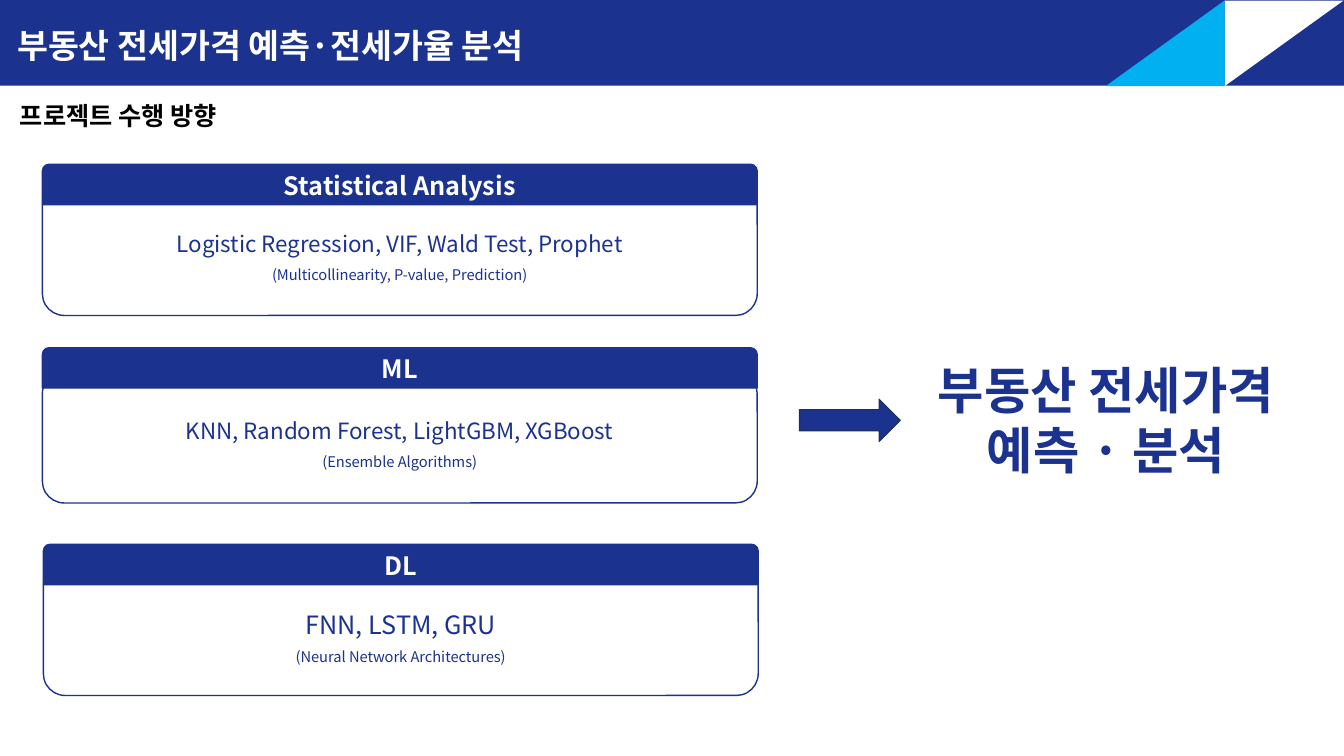
from lxml.etree import SubElement
from pptx import Presentation
from pptx.dml.color import RGBColor
from pptx.enum.shapes import MSO_SHAPE as Shape
from pptx.enum.text import MSO_ANCHOR as Anchor, PP_ALIGN as Align
from pptx.oxml.ns import qn
from pptx.util import Inches, Pt

NAVY = RGBColor(0x1B, 0x32, 0x8F)
CYAN = RGBColor(0x00, 0xB0, 0xF0)
ARROW_EDGE = RGBColor(0x1C, 0x30, 0x52)
WHITE = RGBColor(0xFF, 0xFF, 0xFF)
BLACK = RGBColor(0x00, 0x00, 0x00)
FONT = "Noto Sans CJK KR"
PAGE_WIDTH, PAGE_HEIGHT = 13.33, 7.5

# top, left, heading, gap from heading top to body top, methods, size, detail
METHODS = [
    (1.63, 0.42, "Statistical Analysis", 0.2,
     "Logistic Regression, VIF, Wald Test, Prophet", 16,
     "(Multicollinearity, P-value, Prediction)"),
    (3.45, 0.42, "ML", 0.24,
     "KNN, Random Forest, LightGBM, XGBoost", 16, "(Ensemble Algorithms)"),
    (5.4, 0.43, "DL", 0.2,
     "FNN, LSTM, GRU", 18, "(Neural Network Architectures)"),
]


def write(box, lines, color, bold=False, align=Align.LEFT,
          anchor=Anchor.TOP, spacing=None):
    """Fill a box with (text, size) lines, one paragraph each."""
    frame = box.text_frame
    frame.word_wrap = True
    frame.vertical_anchor = anchor
    frame.text = "\n".join(text for text, size in lines)
    for para, (text, size) in zip(frame.paragraphs, lines):
        para.alignment = align
        if spacing:
            para.line_spacing = spacing
        for span in para.runs:
            font = span.font
            font.name, font.size, font.bold = FONT, Pt(size), bold
            font.color.rgb = color
            east_asian = SubElement(font._element, qn("a:ea"))
            east_asian.set("typeface", FONT)


def add_block(page, kind, left, top, width, height, fill, line=None,
              line_width=1):
    block = page.shapes.add_shape(kind, Inches(left), Inches(top),
                                  Inches(width), Inches(height))
    block.shadow.inherit = False
    block.fill.solid()
    block.fill.fore_color.rgb = fill
    if line is None:
        block.line.fill.background()
    else:
        block.line.color.rgb = line
        block.line.width = Pt(line_width)
    return block


def add_text(page, left, top, width, height, lines, color, **style):
    box = page.shapes.add_textbox(Inches(left), Inches(top),
                                  Inches(width), Inches(height))
    write(box, lines, color, **style)


def add_header(page, width, height):
    bar = add_block(page, Shape.RECTANGLE, 0, 0, width, height, NAVY)
    bar.text_frame.margin_left = Inches(0.17)
    write(bar, [("부동산 전세가격 예측·전세가율 분석", 24)], WHITE,
          bold=True, spacing=1.5)
    for from_right, turn, color in [(1.02, 90, WHITE), (2.2, 270, CYAN)]:
        triangle = add_block(page, Shape.RIGHT_TRIANGLE, width - from_right,
                             -0.16, 0.85, 1.18, color)
        triangle.rotation = turn


def add_method(page, left, top, width, heading, body_gap, methods, size,
               detail):
    """Place a rounded body box with a heading tab over its top edge."""
    body = add_block(page, Shape.ROUNDED_RECTANGLE, left, top + body_gap,
                     width, 1.3, WHITE, NAVY)
    write(body, [(methods, size), (detail, 10.5)], NAVY,
          align=Align.CENTER, anchor=Anchor.MIDDLE, spacing=1.5)
    tab = add_block(page, Shape.ROUND_2_SAME_RECTANGLE, left, top,
                    width, 0.4, NAVY, NAVY)
    write(tab, [(heading, 18)], WHITE, bold=True, align=Align.CENTER,
          anchor=Anchor.MIDDLE)


def add_goal(page, left, top):
    """Place the arrow and the project goal it points to."""
    add_text(page, left + 1, top, 4.08, 1.31,
             [("부동산 전세가격", 36), ("예측 · 분석", 36)], NAVY,
             bold=True, align=Align.CENTER)
    add_block(page, Shape.RIGHT_ARROW, left, top + 0.45, 1, 0.42,
              NAVY, ARROW_EDGE, 0.75)


def main():
    deck = Presentation()
    deck.slide_width, deck.slide_height = Inches(PAGE_WIDTH), Inches(PAGE_HEIGHT)
    page = deck.slides.add_slide(deck.slide_layouts[6])
    add_header(page, PAGE_WIDTH, 0.85)
    add_text(page, 0.1, 0.95, 4.04, 0.4, [("프로젝트 수행 방향", 18)], BLACK,
             bold=True)
    for top, left, *content in METHODS:
        add_method(page, left, top, 7.09, *content)
    add_goal(page, 7.93, 3.51)
    deck.save("out.pptx")


if __name__ == "__main__":
    main()
